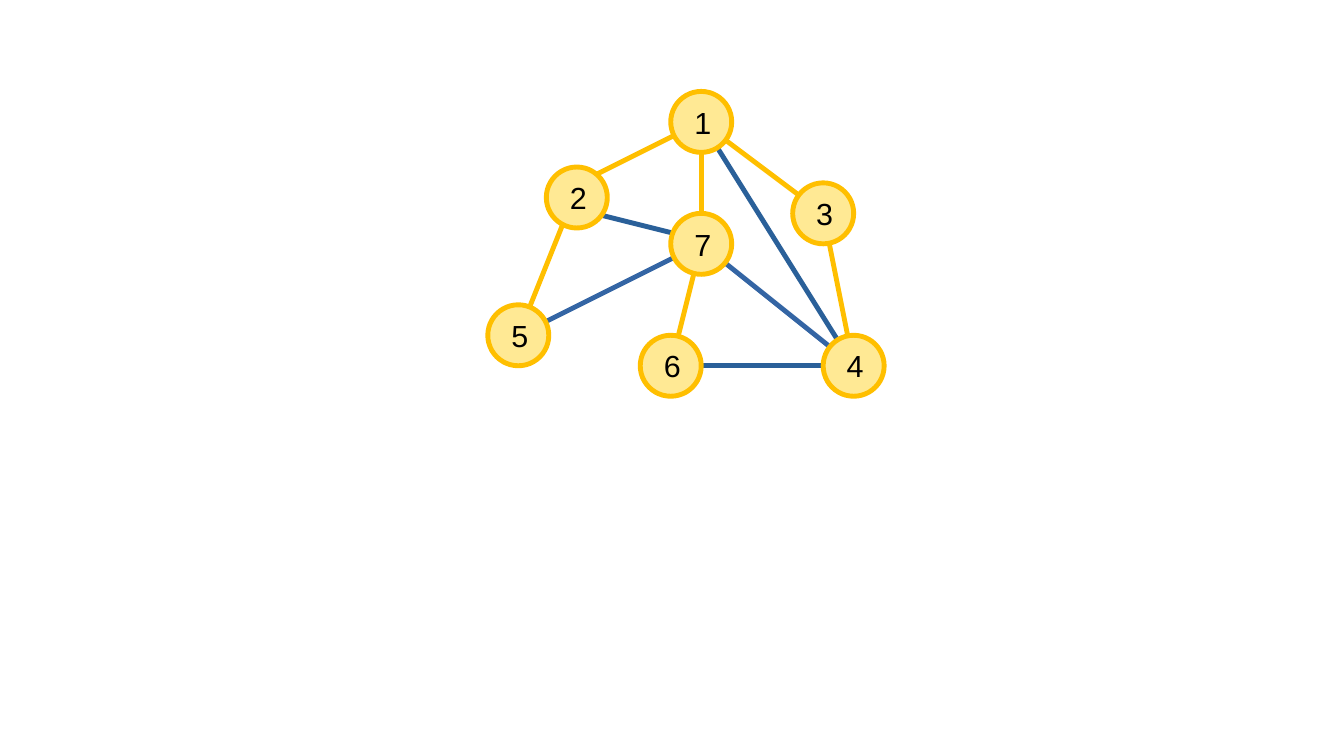
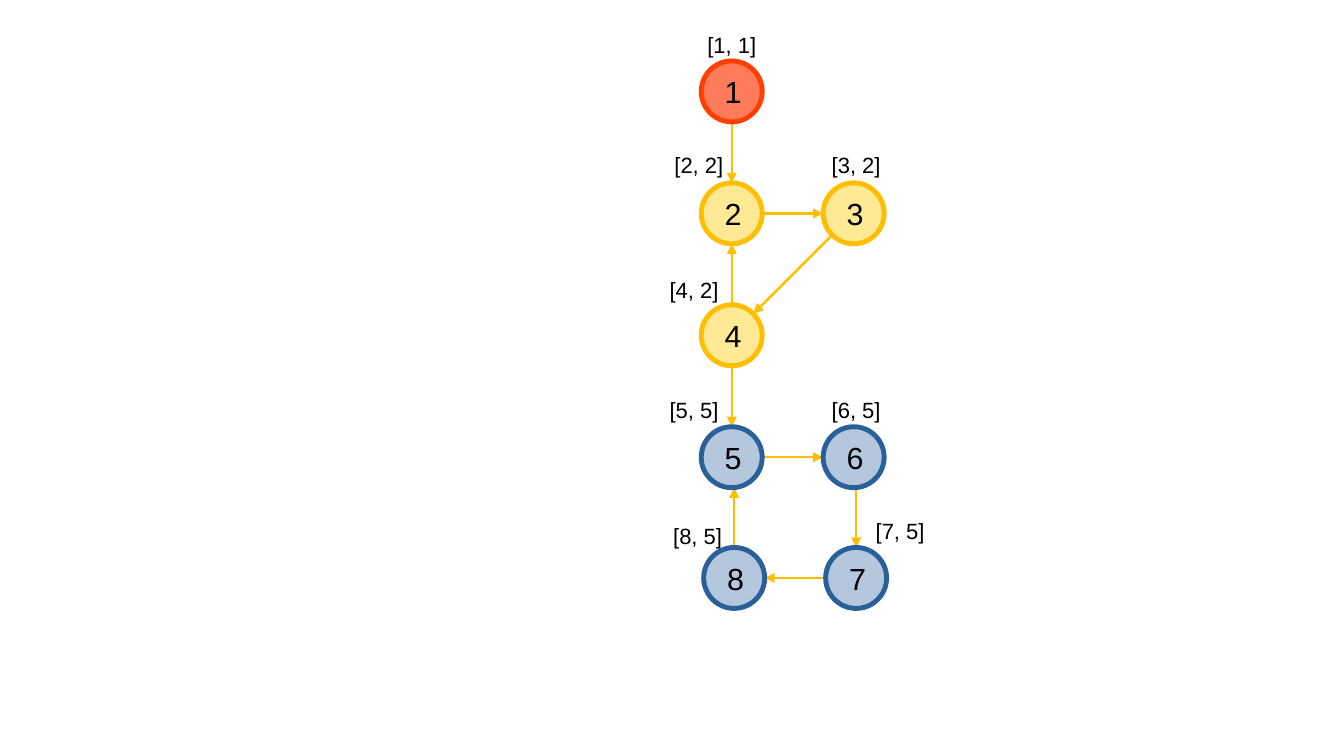
from dataclasses import dataclass
from math import hypot

from lxml import etree
from pptx import Presentation
from pptx.dml.color import RGBColor
from pptx.enum.shapes import MSO_CONNECTOR, MSO_SHAPE
from pptx.enum.text import MSO_ANCHOR, PP_ALIGN
from pptx.oxml.ns import qn
from pptx.util import Inches, Pt

OVAL = MSO_SHAPE.OVAL
STRAIGHT = MSO_CONNECTOR.STRAIGHT
MIDDLE = MSO_ANCHOR.MIDDLE
CENTER = PP_ALIGN.CENTER


@dataclass(frozen=True)
class Theme:
    font: str = "Arial"
    ink: str = "000000"
    gold: str = "FFBF00"
    navy: str = "2A6099"
    blue: str = "3465A4"
    node_size: int = 18
    label_size: int = 13
    thick: float = 2.89
    thin: float = 1.45


T = Theme()
SLIDE_W, SLIDE_H = 11.02, 6.2
RADIUS = 0.25
LABEL_W, LABEL_H = 0.75, 0.5
YELLOW = ("FFE994", T.gold)
RED = ("FF7B59", "FF4000")
BLUE = ("B4C7DC", T.navy)

TREE_NODES = {
    "1": (5.75, 1), "2": (4.73, 1.62), "3": (6.75, 1.75), "4": (7, 3),
    "5": (4.25, 2.75), "6": (5.5, 3), "7": (5.75, 2),
}
TREE_PORTS = {**TREE_NODES, "2": (4.75, 1.5), "2 low": (4.71, 1.71), "7 left": (5.71, 1.96)}
TREE_EDGES = [
    ("4", "7", T.blue), ("3", "4", T.gold), ("4", "1", T.navy),
    ("6", "4", T.navy), ("1", "7", T.gold), ("2", "1", T.gold),
    ("3", "1", T.gold), ("6", "7", T.gold), ("5", "7", T.blue),
    ("5", "2", T.gold), ("2 low", "7 left", T.navy),
]

SCC_NODES = {
    "1": ((6, 0.75), RED, "[1, 1]", (0, -0.38)),
    "2": ((6, 1.75), YELLOW, "[2, 2]", (-0.27, -0.4)),
    "3": ((7, 1.75), YELLOW, "[3, 2]", (0.02, -0.4)),
    "4": ((6, 2.75), YELLOW, "[4, 2]", (-0.31, -0.37)),
    "5": ((6, 3.75), BLUE, "[5, 5]", (-0.31, -0.39)),
    "6": ((7, 3.75), BLUE, "[6, 5]", (0.02, -0.39)),
    "7": ((7.02, 4.74), BLUE, "[7, 5]", (0.36, -0.39)),
    "8": ((6.02, 4.74), BLUE, "[8, 5]", (-0.3, -0.35)),
}
SCC_EDGES = ["12", "23", "34", "42", "45", "56", "67", "78", "85"]


def add_text(shape, text, size, color=T.ink, inset=(0.1, 0.05)):
    tf = shape.text_frame
    tf.word_wrap = True
    tf.vertical_anchor = MIDDLE
    tf.margin_left = tf.margin_right = Inches(inset[0])
    tf.margin_top = tf.margin_bottom = Inches(inset[1])
    p = tf.paragraphs[0]
    p.alignment = CENTER
    r = p.add_run()
    r.text = text
    r.font.name = T.font
    r.font.size = Pt(size)
    r.font.color.rgb = RGBColor.from_string(color)


def add_node(s, name, center, colors=YELLOW):
    x, y = center
    fill, line = colors
    sp = s.shapes.add_shape(OVAL, Inches(x - RADIUS), Inches(y - RADIUS),
                            Inches(2 * RADIUS), Inches(2 * RADIUS))
    sp.shadow.inherit = False
    sp.fill.solid()
    sp.fill.fore_color.rgb = RGBColor.from_string(fill)
    sp.line.color.rgb = RGBColor.from_string(line)
    sp.line.width = Pt(T.thick)
    add_text(sp, name, T.node_size, inset=(0.12, 0.07))


def add_label(s, text, center):
    x, y = center
    box = s.shapes.add_textbox(Inches(x - LABEL_W / 2), Inches(y - LABEL_H / 2),
                               Inches(LABEL_W), Inches(LABEL_H))
    add_text(box, text, T.label_size)


def add_edge(s, start, end, color=T.gold, width=T.thick, arrow=False):
    line = s.shapes.add_connector(STRAIGHT, *(Inches(v) for v in (*start, *end)))
    line.line.color.rgb = RGBColor.from_string(color)
    line.line.width = Pt(width)
    if arrow:
        ln = line.line._get_or_add_ln()
        etree.SubElement(ln, qn("a:tailEnd")).set("type", "triangle")
    etree.SubElement(line._element.spPr, qn("a:effectLst"))


def trim(start, end):
    (x0, y0), (x1, y1) = start, end
    if abs(x1 - x0) < RADIUS:
        x0 = x1 = max(x0, x1)
    dx, dy = x1 - x0, y1 - y0
    k = RADIUS / hypot(dx, dy)
    return (x0 + k * dx, y0 + k * dy), (x1 - k * dx, y1 - k * dy)


def build_tree(s):
    for a, b, color in TREE_EDGES:
        add_edge(s, TREE_PORTS[a], TREE_PORTS[b], color)
    for name, center in TREE_NODES.items():
        add_node(s, name, center)


def build_components(s):
    for a, b in SCC_EDGES:
        start, end = trim(SCC_NODES[a][0], SCC_NODES[b][0])
        add_edge(s, start, end, width=T.thin, arrow=True)
    for name, (center, colors, _, _) in SCC_NODES.items():
        add_node(s, name, center, colors)
    for (x, y), _, label, (dx, dy) in SCC_NODES.values():
        add_label(s, label, (x + dx, y + dy))


def main():
    prs = Presentation()
    prs.slide_width, prs.slide_height = Inches(SLIDE_W), Inches(SLIDE_H)
    for build in (build_tree, build_components):
        build(prs.slides.add_slide(prs.slide_layouts[6]))
    prs.save("out.pptx")


if __name__ == "__main__":
    main()
